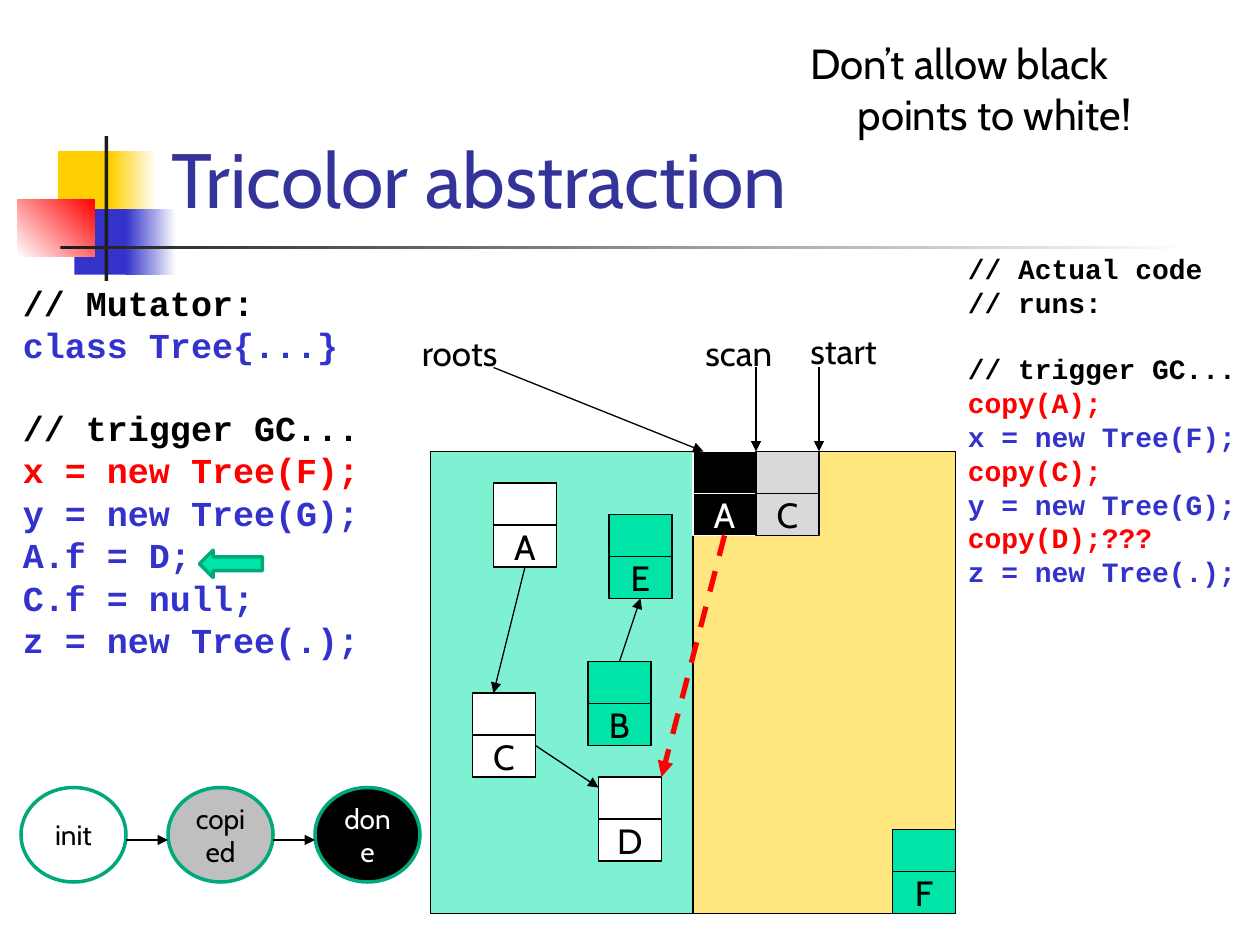
from pptx import Presentation
from pptx.dml.color import RGBColor as RGB
from pptx.enum.dml import MSO_LINE as Dash
from pptx.enum.shapes import MSO_CONNECTOR as Link, MSO_SHAPE as Kind
from pptx.enum.text import MSO_ANCHOR as Anchor, PP_ALIGN as Align
from pptx.oxml.ns import qn
from pptx.oxml.xmlchemy import OxmlElement as Element
from pptx.util import Inches, Pt

BLACK = RGB(0x00, 0x00, 0x00)
WHITE = RGB(0xFF, 0xFF, 0xFF)
INK = RGB(0x1C, 0x1C, 0x1C)
GOLD = RGB(0xFF, 0xCF, 0x01)
BLUE = RGB(0x33, 0x33, 0xCC)
NAVY = RGB(0x33, 0x33, 0x99)
RED = RGB(0xFF, 0x00, 0x00)
MINT = RGB(0x00, 0xE4, 0xA8)
GREEN = RGB(0x00, 0xA9, 0x7C)
GRAY = RGB(0xBF, 0xBF, 0xBF)
PALE = RGB(0xD9, 0xD9, 0xD9)
SANS, MONO = "Cabin", "Courier New"
UNIT = Inches(1) / 12

deck = Presentation()
deck.slide_width, deck.slide_height = Inches(10), Inches(7.5)
slide = deck.slides.add_slide(deck.slide_layouts[5])
shapes = slide.shapes


def box(kind, spot, fill, edge=None, width=0.75, text="", ink=BLACK, size=20, wrap=False):
    shape = shapes.add_shape(kind, *[round(n * UNIT) for n in spot])
    shape.shadow.inherit = False
    shape.fill.solid()
    shape.fill.fore_color.rgb = fill
    if edge is None:
        shape.line.fill.background()
    else:
        shape.line.color.rgb = edge
        shape.line.width = Pt(width)
    if text:
        frame = shape.text_frame
        frame.word_wrap = wrap
        frame.vertical_anchor = Anchor.MIDDLE
        par = frame.paragraphs[0]
        par.text = text
        par.alignment = Align.CENTER
        par.font.name, par.font.size = SANS, Pt(size)
        par.font.color.rgb = ink
    return shape


def note(spot, rows, size, face=SANS, bold=False, hang=0):
    frame = shapes.add_textbox(*[round(n * UNIT) for n in spot]).text_frame
    frame.word_wrap = True
    for i, (text, ink, space) in enumerate(rows):
        par = frame.paragraphs[0] if i == 0 else frame.add_paragraph()
        par.text = text
        if hang:
            props = par._p.get_or_add_pPr()
            props.set("marL", str(Pt(hang)))
            props.set("indent", str(-Pt(hang)))
        if face == MONO:
            par.line_spacing = 0.8
        if i:
            par.space_before = Pt(space * size)
        par.font.name, par.font.size, par.font.bold = face, Pt(size), bold
        par.font.color.rgb = ink


decor = [
    ((0.46, 1.2, 0.48, 0.52), GOLD, None, 0),
    ((0.88, 1.2, 0.36, 0.52), GOLD, WHITE, 0),
    ((0.59, 1.66, 0.46, 0.52), BLUE, None, 0),
    ((1, 1.66, 0.4, 0.52), BLUE, WHITE, 0),
    ((0.14, 1.58, 0.61, 0.46), WHITE, RED, 45),
    ((0.83, 1.08, 0.03, 1.15), INK, None, 0),
    ((0.48, 1.95, 9, 0.03), INK, WHITE, 0),
]
for spot, first, last, angle in decor:
    patch = box(Kind.RECTANGLE, [12 * n for n in spot], first)
    if last is not None:
        patch.fill.gradient()
        patch.fill.gradient_angle = angle
        for stop, tone in zip(patch.fill.gradient_stops, (first, last)):
            stop.color.rgb = tone

title = shapes.title
title.left, title.top = Inches(1.26), Inches(0.23)
title.width, title.height = Inches(8.52), Inches(1.6)
title.text = "Tricolor abstraction"
title.text_frame.vertical_anchor = Anchor.BOTTOM
head = title.text_frame.paragraphs[0]
head.alignment = Align.LEFT
head.font.name, head.font.size = SANS, Pt(44)
head.font.color.rgb = NAVY
shapes._spTree.append(title._element)

for left, tone in ((41, MINT), (66, GOLD)):
    half = box(Kind.RECTANGLE, (left, 43, 25, 44), tone, BLACK)
    alpha = Element("a:alpha")
    alpha.set("val", "50000")
    half._element.spPr.find(".//" + qn("a:srgbClr")).append(alpha)

note((1, 27, 37, 54), [
    ("// Mutator:", BLACK, 0),
    ("class Tree{...}", BLUE, 0.25),
    ("// trigger GC...", BLACK, 1.4),
    ("x = new Tree(F);", RED, 0.25),
    ("y = new Tree(G);", BLUE, 0.25),
    ("A.f = D;", BLUE, 0.25),
    ("C.f = null;", BLUE, 0.25),
    ("z = new Tree(.);", BLUE, 0.25),
], 20, MONO, True, 27)
note((91, 24, 28, 54), [
    ("// Actual code", BLACK, 0),
    ("// runs:", BLACK, 0.25),
    ("// trigger GC...", BLACK, 1.4),
    ("copy(A);", RED, 0.25),
    ("x = new Tree(F);", BLUE, 0.25),
    ("copy(C);", RED, 0.25),
    ("y = new Tree(G);", BLUE, 0.25),
    ("copy(D);???", RED, 0.25),
    ("z = new Tree(.);", BLUE, 0.25),
], 16, MONO, True, 27)
note((76, 3, 42, 11), [("Don’t allow black points to white!", BLACK, 0)], 24, hang=27)
for left, top, text in ((39, 31, "roots"), (66, 31, "scan"), (76, 30.8, "start")):
    note((left, top, 10, 5.2), [(text, BLACK, 0)], 20)

cells = {}
nodes = [
    ("A", 47, 46, WHITE, BLACK),
    ("C", 45, 66, WHITE, BLACK),
    ("D", 57, 74, WHITE, BLACK),
    ("B", 56, 63, MINT, BLACK),
    ("E", 58, 49, MINT, BLACK),
    ("A", 66, 43, BLACK, WHITE),
    ("F", 85, 79, MINT, BLACK),
    ("C", 72, 43, PALE, BLACK),
]
for name, left, top, fill, ink in nodes:
    upper = box(Kind.RECTANGLE, (left, top, 6, 4), fill, ink)
    lower = box(Kind.RECTANGLE, (left, top + 4, 6, 4), fill, ink, text=name, ink=ink)
    cells[left, top] = upper, lower

states = [("init", WHITE, BLACK), ("copied", GRAY, BLACK), ("done", BLACK, WHITE)]
for i, (name, fill, ink) in enumerate(states):
    box(Kind.OVAL, (2 + 14 * i, 75, 10, 9), fill, GREEN, 2, name, ink, 16, True)
box(Kind.LEFT_ARROW, (19, 52.4, 6, 2.6), MINT, GREEN, 2)

edges = [
    (50, 54, 47, 66, cells[47, 46][1], None),
    (51, 71, 57, 75, None, None),
    (59, 63, 61, 57, cells[56, 63][0], cells[58, 49][1]),
    (12, 80, 16, 80, None, None),
    (26, 80, 30, 80, None, None),
    (47, 35, 67, 43, None, None),
    (72, 35, 72, 43, None, None),
    (78, 35, 78, 43, None, None),
    (69, 51, 63, 74, cells[66, 43][1], None),
]
for *ends, start, stop in edges:
    wire = shapes.add_connector(Link.STRAIGHT, *[round(n * UNIT) for n in ends])
    if start is not None:
        wire.begin_connect(start, 2 if ends[1] < ends[3] else 0)
    if stop is not None:
        wire.end_connect(stop, 2)
    wire.line.color.rgb = BLACK
    wire.line.width = Pt(0.75)
    if ends[0] == 69:
        wire.line.color.rgb = RED
        wire.line.width = Pt(3)
        wire.line.dash_style = Dash.DASH
    tip = Element("a:tailEnd")
    tip.set("type", "triangle")
    wire.line._get_or_add_ln().append(tip)
    wire._element.spPr.append(Element("a:effectLst"))

deck.save("out.pptx")
